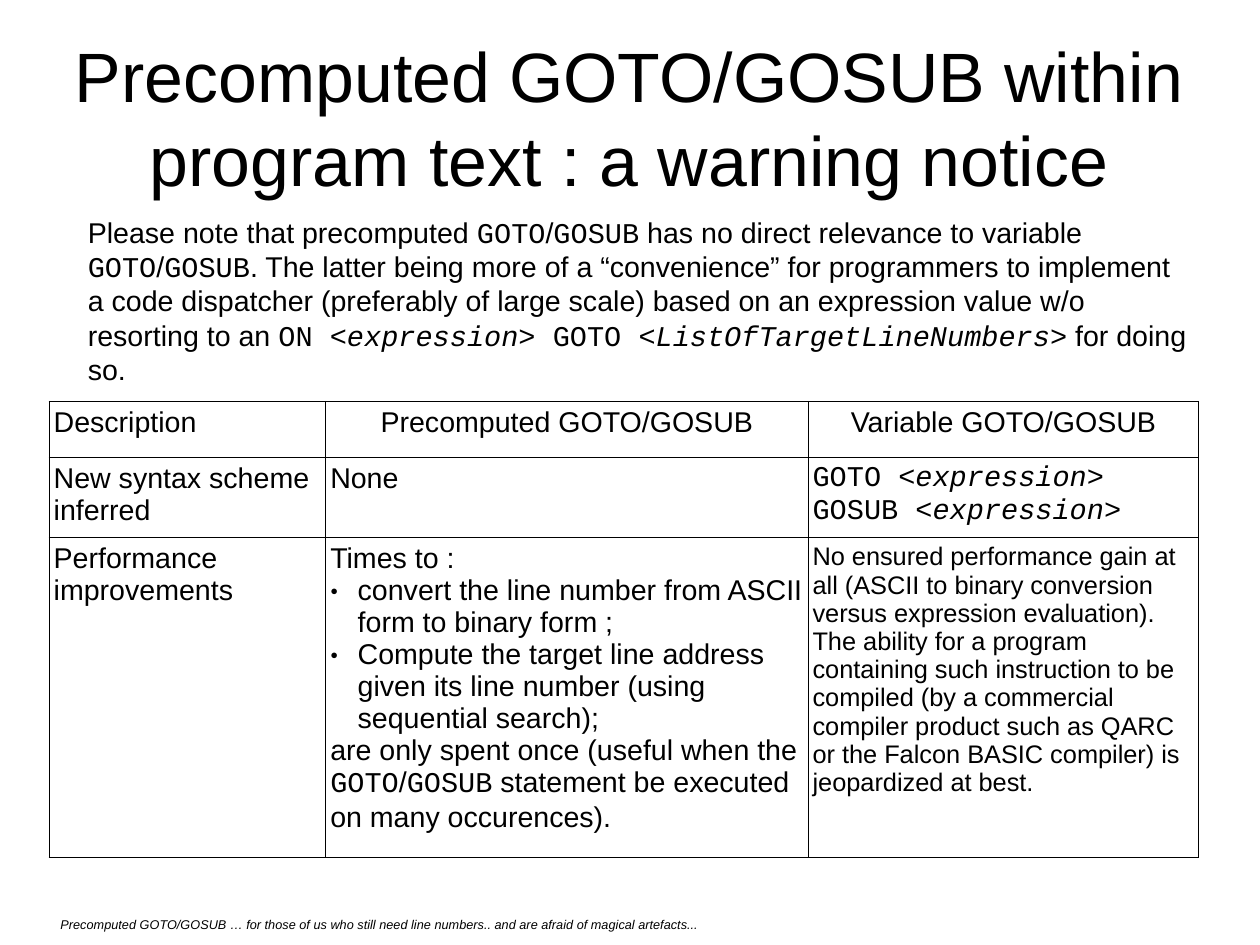
from lxml import etree
from pptx import Presentation
from pptx import util as u
from pptx.dml.color import RGBColor
from pptx.enum import text as t
from pptx.oxml import ns

THEME = {
    "ink": "000000", "paper": "FFFFFF", "sans": "Arial", "mono": "Courier New",
    "title": 44, "body": 18, "small": 16, "footer": 8, "border": 0.57,
}

# Content: `...` marks code, _..._ marks italics, a leading "* " marks a bullet
TITLE = "Precomputed GOTO/GOSUB within program text\u00a0: a warning notice"
NOTICE = (
    "Please note that precomputed `GOTO`/`GOSUB` has no direct relevance to variable "
    "`GOTO`/`GOSUB`. The latter being more of a “convenience” for programmers to implement "
    "a code dispatcher (preferably of large scale) based on an expression value w/o "
    "resorting to an `ON <_expression_> GOTO <_ListOfTargetLineNumbers_>` for doing so."
)
FOOTER = ("_Precomputed GOTO/GOSUB … for those of us who still need line numbers.. "
          "and are afraid of magical artefacts..._")
COMPARISON = [
    [["Description"], ["Precomputed GOTO/GOSUB"], ["Variable GOTO/GOSUB"]],
    [["New syntax scheme inferred"], ["None"],
     ["`GOTO _<expression>_`", "`GOSUB _<expression>_`"]],
    [["Performance improvements"],
     ["Times to\u00a0:",
      "* convert the line number from ASCII form to binary form\u00a0;",
      "* Compute the target line address given its line number\u00a0(using sequential search);",
      "are only spent once (useful when the `GOTO`/`GOSUB` statement be executed "
      "on many occurences)."],
     ["No ensured performance gain at all (ASCII to binary conversion versus "
      "expression evaluation).",
      "The ability for a program containing such instruction to be compiled (by a "
      "commercial compiler product such as QARC or the Falcon BASIC compiler) is "
      "jeopardized at best."]],
]
COLUMN_WIDTHS = [2.42, 4.22, 3.42]
ROW_HEIGHTS = [0.49, 0.7, 2.79]
TABLE_LEFT, TABLE_TOP = 0.43, 3.51
SMALL_CELL = (2, 2)


def add_bullet(para):
    """Hang the paragraph behind a small round bullet."""
    props = para._p.get_or_add_pPr()
    props.set("marL", str(u.Inches(0.24)))
    props.set("indent", str(-u.Inches(0.24)))
    for tag, value in (("a:buSzPct", {"val": "45000"}), ("a:buFont", {"typeface": THEME["sans"]}),
                       ("a:buChar", {"char": "●"})):
        etree.SubElement(props, ns.qn(tag), value)


def write(frame, lines, size="body", align=t.PP_ALIGN.LEFT):
    """Fill a text frame with marked-up lines."""
    for index, line in enumerate(lines):
        para = frame.add_paragraph() if index else frame.paragraphs[0]
        para.alignment = align
        if line.startswith("* "):
            add_bullet(para)
            line = line[2:]
        for code, part in enumerate(line.split("`")):
            for slant, words in enumerate(part.split("_")):
                if words:
                    span = para.add_run()
                    span.text = words
                    span.font.name = THEME["mono" if code % 2 else "sans"]
                    span.font.size = u.Pt(THEME[size])
                    span.font.italic = bool(slant % 2)
                    span.font.color.rgb = RGBColor.from_string(THEME["ink"])


def add_text(page, line, place, wrap=True, inset=(0.1, 0.05),
             anchor=t.MSO_ANCHOR.TOP, **style):
    """Place one text box holding a single paragraph."""
    frame = page.shapes.add_textbox(*map(u.Inches, place)).text_frame
    frame.word_wrap = wrap
    frame.vertical_anchor = anchor
    frame.margin_left = frame.margin_right = u.Inches(inset[0])
    frame.margin_top = frame.margin_bottom = u.Inches(inset[1])
    write(frame, [line], **style)


def add_borders(cell):
    """Draw a thin line on all four sides, ahead of the fill element."""
    props = cell._tc.get_or_add_tcPr()
    for position, side in enumerate(("lnL", "lnR", "lnT", "lnB")):
        line = etree.Element(ns.qn("a:" + side), {"w": str(u.Pt(THEME["border"]))})
        fill = etree.SubElement(line, ns.qn("a:solidFill"))
        etree.SubElement(fill, ns.qn("a:srgbClr"), {"val": THEME["ink"]})
        props.insert(position, line)


# The page measures 28 by 21 centimetres
deck = Presentation()
deck.slide_width, deck.slide_height = u.Cm(28), u.Cm(21)
page = deck.slides.add_slide(deck.slide_layouts[6])

# Title
add_text(page, TITLE, (0.55, 0.33, 9.92, 1.38), inset=(0, 0), size="title",
         align=t.PP_ALIGN.CENTER, anchor=t.MSO_ANCHOR.MIDDLE)

# Comparison table
table = page.shapes.add_table(
    len(ROW_HEIGHTS), len(COLUMN_WIDTHS), u.Inches(TABLE_LEFT), u.Inches(TABLE_TOP),
    u.Inches(sum(COLUMN_WIDTHS)), u.Inches(sum(ROW_HEIGHTS))).table
table.first_row = table.horz_banding = False
for column, width in zip(table.columns, COLUMN_WIDTHS):
    column.width = u.Inches(width)
for row, height in zip(table.rows, ROW_HEIGHTS):
    row.height = u.Inches(height)
for r, entries in enumerate(COMPARISON):
    for c, lines in enumerate(entries):
        cell = table.cell(r, c)
        cell.margin_left = cell.margin_right = u.Inches(0.04)
        cell.margin_top = cell.margin_bottom = u.Inches(0.05)
        cell.fill.solid()
        cell.fill.fore_color.rgb = RGBColor.from_string(THEME["paper"])
        add_borders(cell)
        heading = r == 0 and c > 0
        write(cell.text_frame, lines,
              size="small" if (r, c) == SMALL_CELL else "body",
              align=t.PP_ALIGN.CENTER if heading else t.PP_ALIGN.LEFT)

# Notice and footer
add_text(page, NOTICE, (0.67, 1.83, 9.84, 1.56))
add_text(page, FOOTER, (0.43, 7.97, 5.79, 0.22), wrap=False, size="footer")

deck.save("out.pptx")
